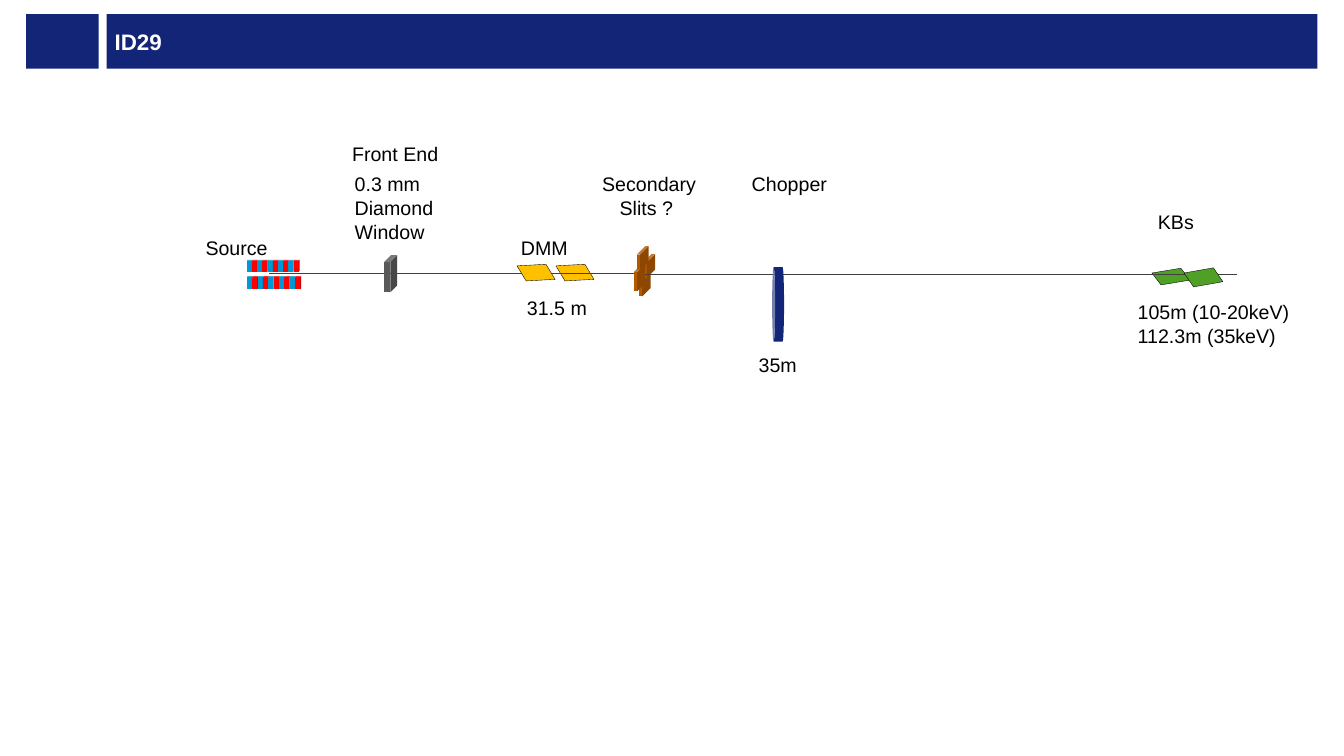
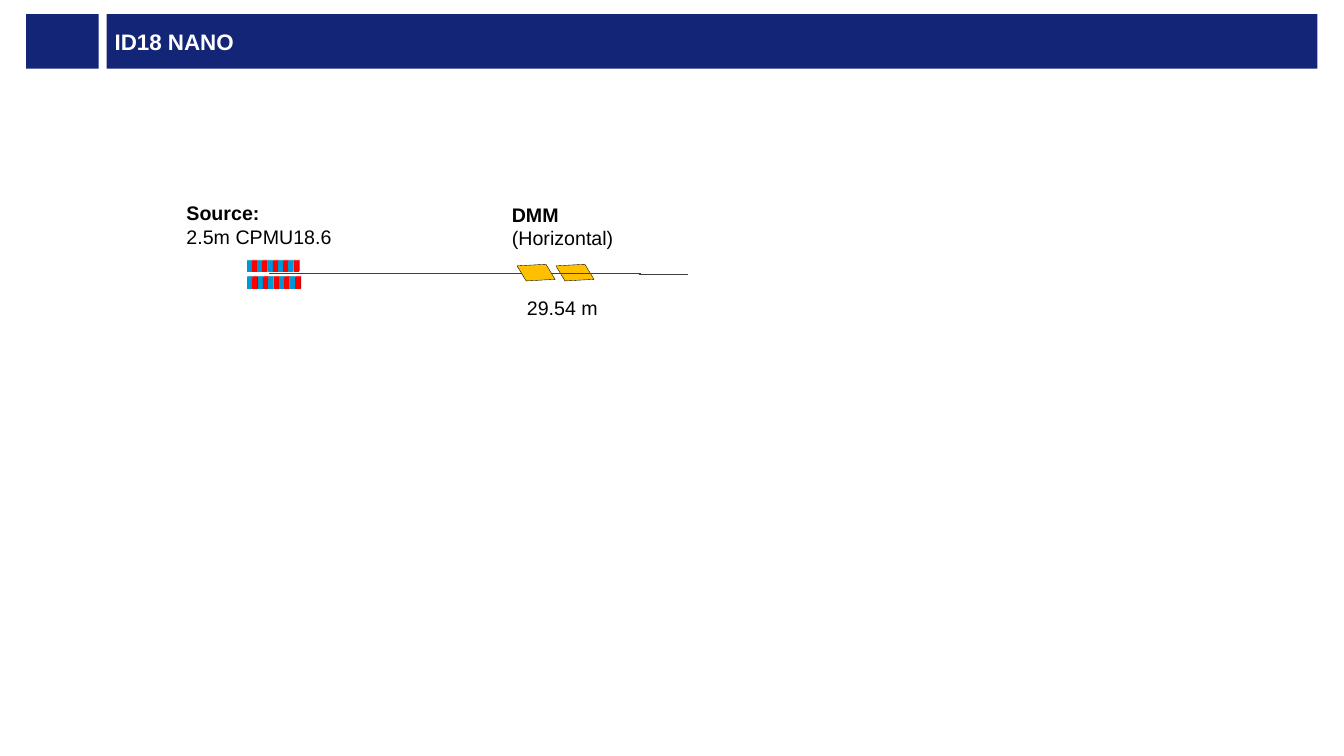
import pptx
import pptx.util
import pptx.dml.color
import pptx.enum.shapes
import pptx.enum.text
import pptx.oxml.ns
import lxml.etree

Cm = pptx.util.Cm
PRESET = pptx.enum.shapes.MSO_SHAPE
ALIGN = pptx.enum.text.PP_ALIGN

# Shared style
NAVY, WHITE, BLACK, BEAM_GREY = "132577", "FFFFFF", "000000", "404040"
BLUE, RED = "0098D4", "FF0000"
YELLOW, GREEN, BROWN, GREY = "FFC000", "51A026", "B25902", "595959"
FONT = "Arial"
NUMBER_BAND = (0.66, 0.36, 1.83, 1.37)
TITLE_BAND = (2.69, 0.36, 30.51, 1.37)

# Undulator rows: left, right, top, height
MAGNET_ROWS = [(6.22, 7.55, 6.55, 0.3), (6.22, 7.59, 6.96, 0.33)]
MAGNETS_PER_ROW, MAGNET_WIDTH = 10, 0.15

# Mirrors: centre x, centre y, upper left and upper right corner from the centre
DMM_CORNERS = ((-0.48, -0.17), (0.25, -0.21))
DMM_FIRST = ("mirror", YELLOW, (13.51, 6.87), DMM_CORNERS)
DMM_SECOND = ("mirror", YELLOW, (14.49, 6.87), DMM_CORNERS)
KB_FIRST = ("mirror", GREEN, (29.51, 6.97), ((-0.48, -0.09), (0.25, -0.21)))
KB_SECOND = ("mirror", GREEN, (30.33, 6.99), ((-0.49, -0.11), (0.25, -0.24)))

SOURCE_BEAM = ("beam", 6.78, 16.15, 6.9)
LONG_BEAM = ("beam", 16.1, 31.17, 6.92)
SHORT_BEAM = ("beam", 16.1, 17.35, 6.92)

# Each slide: parts from back to front, then labels (left, top, width, lines, format)
SLIDES = [
    {
        "title": "ID29",
        "parts": [
            KB_FIRST,
            ("block", BROWN, (16.1, 6.86, 0.3, 0.61), 0.719),
            ("block", BROWN, (16.21, 6.4, 0.3, 0.61), 0.719),
            DMM_SECOND,
            ("undulator",),
            SOURCE_BEAM,
            DMM_FIRST,
            LONG_BEAM,
            ("block", BROWN, (15.98, 6.65, 0.28, 0.69), 0.719),
            ("block", BROWN, (16.05, 6.2, 0.3, 0.61), 0.719),
            ("block", GREY, (9.68, 6.43, 0.33, 0.94), 0.526),
            KB_SECOND,
            ("chopper", NAVY, (18.67, 7.52, 1.88, 0.3)),
        ],
        "labels": [
            (4.93, 5.82, 2.08, ["Source"], {}),
            (12.88, 5.82, 1.75, ["DMM"], {}),
            (28.93, 5.16, 1.42, ["KBs"], {}),
            (14.91, 4.22, 2.9, ["Secondary", "Slits ? "], {"align": ALIGN.CENTER}),
            (28.42, 7.44, 4.34, ["105m (10-20keV)", "112.3m (35keV)"], {}),
            (13.03, 7.34, 2.03, ["31.5 m"], {}),
            (8.69, 4.22, 2.51, ["0.3 mm", "Diamond", "Window"], {}),
            (7.87, 3.45, 4.32, ["Front End "], {"align": ALIGN.CENTER, "wrap": True}),
            (18.69, 4.22, 2.41, ["Chopper"], {"align": ALIGN.CENTER}),
            (18.87, 8.76, 1.47, ["35m"], {}),
        ],
    },
    {
        "title": "ID18 NANO",
        "parts": [DMM_SECOND, ("undulator",), SOURCE_BEAM, DMM_FIRST, SHORT_BEAM],
        "labels": [
            (4.45, 4.95, 4.19, ["Source:", "2.5m CPMU18.6"], {"bold_lines": 1}),
            (12.65, 4.98, 3.07, ["DMM", "(Horizontal)"], {"bold_lines": 1}),
            (13.03, 7.34, 2.31, ["29.54 m"], {}),
        ],
    },
]


def rgb(hex_colour):
    return pptx.dml.color.RGBColor.from_string(hex_colour)


def write(frame, lines, size=14, colour=BLACK, bold_lines=0, align=ALIGN.LEFT, wrap=False):
    """Fill a text frame, one paragraph a line; the first bold_lines are bold."""
    frame.word_wrap = wrap
    for number, line in enumerate(lines):
        paragraph = frame.paragraphs[0] if number == 0 else frame.add_paragraph()
        paragraph.alignment = align
        run = paragraph.add_run()
        run.text = line
        run.font.name = FONT
        run.font.size = pptx.util.Pt(size)
        run.font.bold = number < bold_lines
        run.font.color.rgb = rgb(colour)


def paint(shape, fill, outline=None):
    shape.shadow.inherit = False
    shape.fill.solid()
    shape.fill.fore_color.rgb = rgb(fill)
    if outline:
        shape.line.color.rgb = rgb(outline)
        shape.line.width = pptx.util.Pt(0.25)
    else:
        shape.line.fill.background()


def add_solid(slide, preset, box, fill):
    shape = slide.shapes.add_shape(preset, *map(Cm, box))
    paint(shape, fill)
    return shape


# Beamline parts
def add_block(slide, fill, box, depth):
    add_solid(slide, PRESET.CUBE, box, fill).adjustments[0] = depth


def add_chopper(slide, fill, box):
    add_solid(slide, PRESET.CAN, box, fill).rotation = 270


def add_undulator(slide):
    for left, right, top, height in MAGNET_ROWS:
        step = (right - left - MAGNET_WIDTH) / (MAGNETS_PER_ROW - 1)
        for number in range(MAGNETS_PER_ROW):
            box = (left + number * step, top, MAGNET_WIDTH, height)
            add_block(slide, (BLUE, RED)[number % 2], box, 0.159)


def add_mirror(slide, fill, centre, upper_corners):
    lower_corners = [(-dx, -dy) for dx, dy in upper_corners]
    points = [(Cm(centre[0] + dx), Cm(centre[1] + dy))
              for dx, dy in [*upper_corners, *lower_corners]]
    outline = slide.shapes.build_freeform(*points[0])
    outline.add_line_segments(points[1:], close=True)
    paint(outline.convert_to_shape(), fill, BLACK)


def add_beam(slide, start, end, height):
    beam = slide.shapes.add_connector(
        pptx.enum.shapes.MSO_CONNECTOR.STRAIGHT, Cm(start), Cm(height), Cm(end), Cm(height))
    beam.line.color.rgb = rgb(BEAM_GREY)
    beam.line.width = pptx.util.Pt(0.75)
    lxml.etree.SubElement(beam._element.spPr, pptx.oxml.ns.qn("a:effectLst"))


PART_BUILDERS = {
    "block": add_block,
    "chopper": add_chopper,
    "undulator": add_undulator,
    "mirror": add_mirror,
    "beam": add_beam,
}


def add_header(slide, title):
    add_solid(slide, PRESET.RECTANGLE, NUMBER_BAND, NAVY)
    frame = add_solid(slide, PRESET.RECTANGLE, TITLE_BAND, NAVY).text_frame
    frame.margin_left = frame.margin_right = Cm(0.2)
    frame.margin_top = frame.margin_bottom = 0
    frame.vertical_anchor = pptx.enum.text.MSO_ANCHOR.MIDDLE
    write(frame, [title], size=16, colour=WHITE, bold_lines=1, wrap=True)


def add_label(slide, left, top, width, lines, style):
    height = 0.26 + 0.6 * len(lines)
    label = slide.shapes.add_textbox(Cm(left), Cm(top), Cm(width), Cm(height))
    write(label.text_frame, lines, **style)


def main():
    deck = pptx.Presentation()
    deck.slide_width, deck.slide_height = Cm(33.87), Cm(19.05)
    for content in SLIDES:
        slide = deck.slides.add_slide(deck.slide_layouts[6])
        add_header(slide, content["title"])
        for kind, *details in content["parts"]:
            PART_BUILDERS[kind](slide, *details)
        for label in content["labels"]:
            add_label(slide, *label)
    deck.save("out.pptx")


if __name__ == "__main__":
    main()
